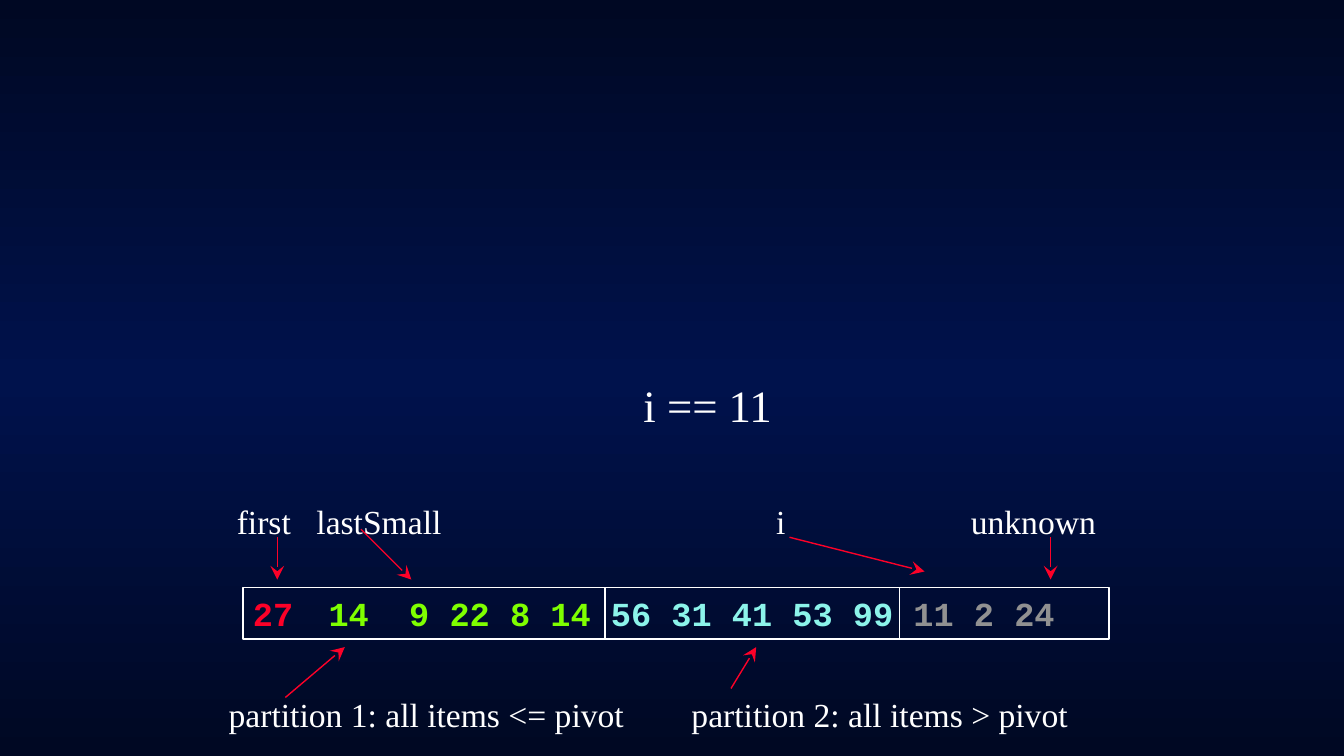
from copy import deepcopy
from typing import NamedTuple

from lxml import etree
from pptx import Presentation
from pptx import util as u
from pptx.dml.color import RGBColor
from pptx.enum import shapes, text
from pptx.oxml.ns import qn

NIGHT = RGBColor(0x00, 0x08, 0x23)
NAVY = RGBColor(0x00, 0x12, 0x4C)
WHITE = RGBColor(0xFF, 0xFF, 0xFF)
RED = RGBColor(0xFC, 0x01, 0x28)
GREEN = RGBColor(0x7F, 0xFF, 0x00)
CYAN = RGBColor(0x8C, 0xF4, 0xEA)
GRAY = RGBColor(0x91, 0x91, 0x91)
SERIF, MONO = "Times New Roman", "Courier New"
ARRAY_TOP, ARRAY_BOTTOM = 5.83, 6.33


class Run(NamedTuple):
    text: str
    color: RGBColor = WHITE


class Line(NamedTuple):
    x1: float
    y1: float
    x2: float
    y2: float
    color: RGBColor = RED
    arrow: bool = True


class Label(NamedTuple):
    text: str
    left: float
    top: float
    width: float
    tabs: tuple[float, ...]


ITEMS = [
    Run("27\t", RED),
    Run("14\t9 22 8 14 ", GREEN),
    Run("56 31 41 53 99", CYAN),
    Run(" 11 2 24", GRAY),
]
LABELS = [
    Label("first\tlastSmall\ti\tunknown", 2.25, 4.92, 8.75, (0.79, 5.35, 7.28)),
    Label("partition 1: all items <= pivot\tpartition 2: all items > pivot",
          2.17, 6.83, 8.67, (4.59,)),
]
ARROWS = [
    Line(2.75, 5.33, 2.75, 5.75),
    Line(3.58, 5.25, 4.08, 5.75),
    Line(7.83, 5.33, 9.17, 5.67),
    Line(10.42, 5.33, 10.42, 5.75),
    Line(2.83, 6.92, 3.42, 6.42),
    Line(7.25, 6.83, 7.5, 6.42),
]
DIVIDERS = [Line(x, ARRAY_TOP, x, ARRAY_BOTTOM, WHITE, False) for x in (6, 8.92)]


def write(sp, runs: list[Run], *, font: str = SERIF, size: float = 24,
          bold: bool = False, align=text.PP_ALIGN.LEFT,
          tabs: tuple[float, ...] = (), fit=text.MSO_AUTO_SIZE.SHAPE_TO_FIT_TEXT) -> None:
    tf = sp.text_frame
    tf.word_wrap = True
    tf.auto_size = fit
    tf.vertical_anchor = text.MSO_ANCHOR.TOP
    p = tf.paragraphs[0]
    pPr = p._p.get_or_add_pPr()
    if tabs:
        stops = etree.SubElement(pPr, qn("a:tabLst"))
        for pos in tabs:
            etree.SubElement(stops, qn("a:tab"), pos=str(int(u.Inches(pos))), algn="l")
    else:
        pPr.set("marL", "0")
        pPr.set("indent", "0")
        etree.SubElement(pPr, qn("a:buNone"))
    p.alignment = align
    p.space_before = u.Pt(0)
    for item in runs:
        r = p.add_run()
        r.text = item.text
        r.font.name = font
        r.font.size = u.Pt(size)
        r.font.bold = bold
        r.font.color.rgb = item.color


def draw_line(s, line: Line) -> None:
    cx = s.shapes.add_connector(
        shapes.MSO_CONNECTOR.STRAIGHT,
        *(u.Inches(v) for v in (line.x1, line.y1, line.x2, line.y2)))
    cx.line.color.rgb = line.color
    cx.line.width = u.Pt(1)
    if line.arrow:
        etree.SubElement(cx.line._get_or_add_ln(), qn("a:tailEnd"),
                         type="stealth", w="lg", len="lg")
    etree.SubElement(cx._element.spPr, qn("a:effectLst"))


def draw_label(s, label: Label) -> None:
    sp = s.shapes.add_textbox(u.Inches(label.left), u.Inches(label.top),
                              u.Inches(label.width), u.Inches(0.51))
    write(sp, [Run(label.text)], tabs=label.tabs)


def draw_array(s) -> None:
    sp = s.shapes.add_shape(shapes.MSO_SHAPE.RECTANGLE, u.Inches(2.41),
                            u.Inches(ARRAY_TOP), u.Inches(8.59), u.Inches(0.51))
    sp.shadow.inherit = False
    sp.fill.background()
    sp.line.color.rgb = WHITE
    sp.line.width = u.Pt(1)
    write(sp, ITEMS, font=MONO, bold=True, tabs=(0.75, 1.55))


def draw_body(s) -> None:
    body = s.placeholders[1]
    body.left, body.top = u.Inches(2.58), u.Inches(2.08)
    body.width, body.height = u.Inches(9.08), u.Inches(3.17)
    write(body, [Run("i == 11")], size=32, align=text.PP_ALIGN.CENTER,
          fit=text.MSO_AUTO_SIZE.NONE)
    tf = body.text_frame
    tf.margin_top = u.Inches(1.73)
    tf.margin_right = u.Inches(0.3)
    tf.paragraphs[0].line_spacing = 0.9


def paint_background(s) -> None:
    fill = s.background.fill
    fill.gradient()
    fill.gradient_angle = 90
    stops = s.background._cSld.find(".//" + qn("a:gsLst"))
    stops.append(deepcopy(stops[-1]))
    for stop, pos, color in zip(fill.gradient_stops, (0, 0.5, 1), (NIGHT, NAVY, NIGHT)):
        stop.position = pos
        stop.color.rgb = color


def main() -> None:
    prs = Presentation()
    prs.slide_width, prs.slide_height = u.Inches(13.33), u.Inches(7.5)
    s = prs.slides.add_slide(prs.slide_layouts[1])
    title = s.shapes.title._element
    title.getparent().remove(title)
    paint_background(s)
    draw_body(s)
    draw_array(s)
    for label in LABELS:
        draw_label(s, label)
    for line in ARROWS + DIVIDERS:
        draw_line(s, line)
    prs.save("out.pptx")


if __name__ == "__main__":
    main()
